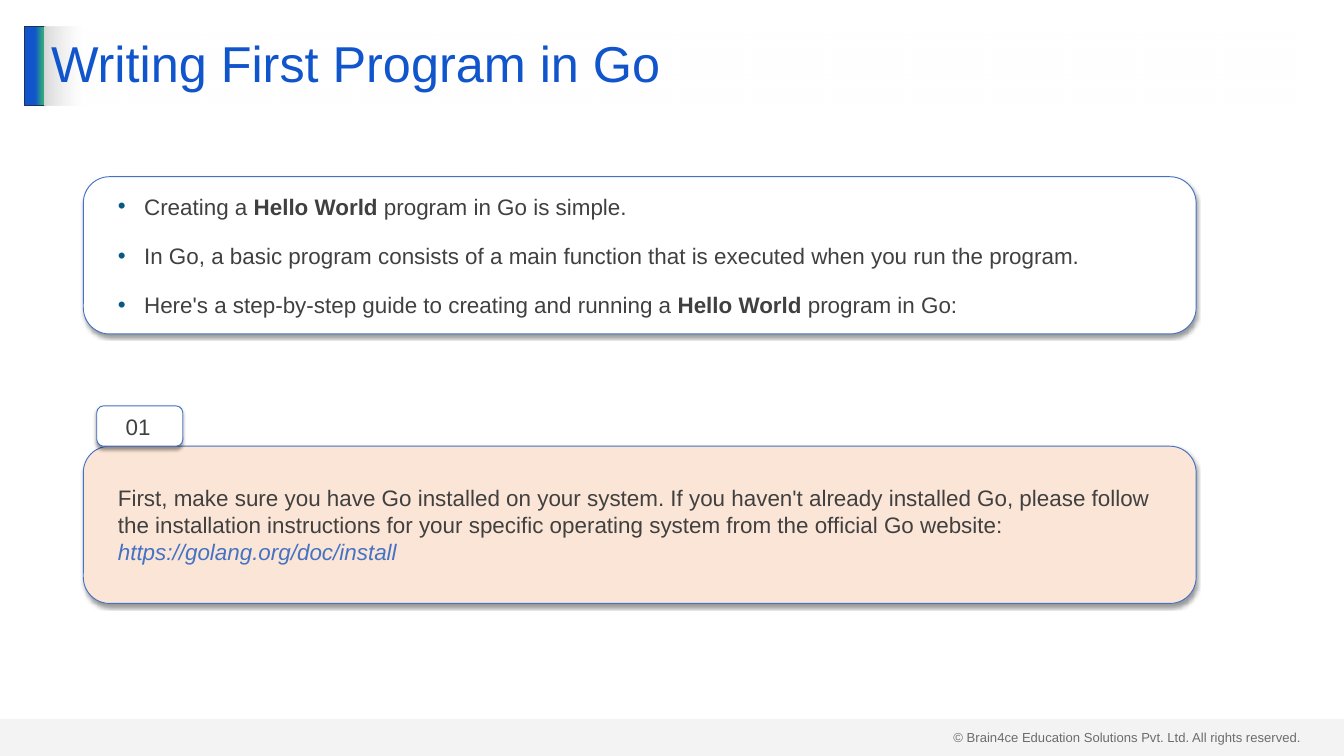
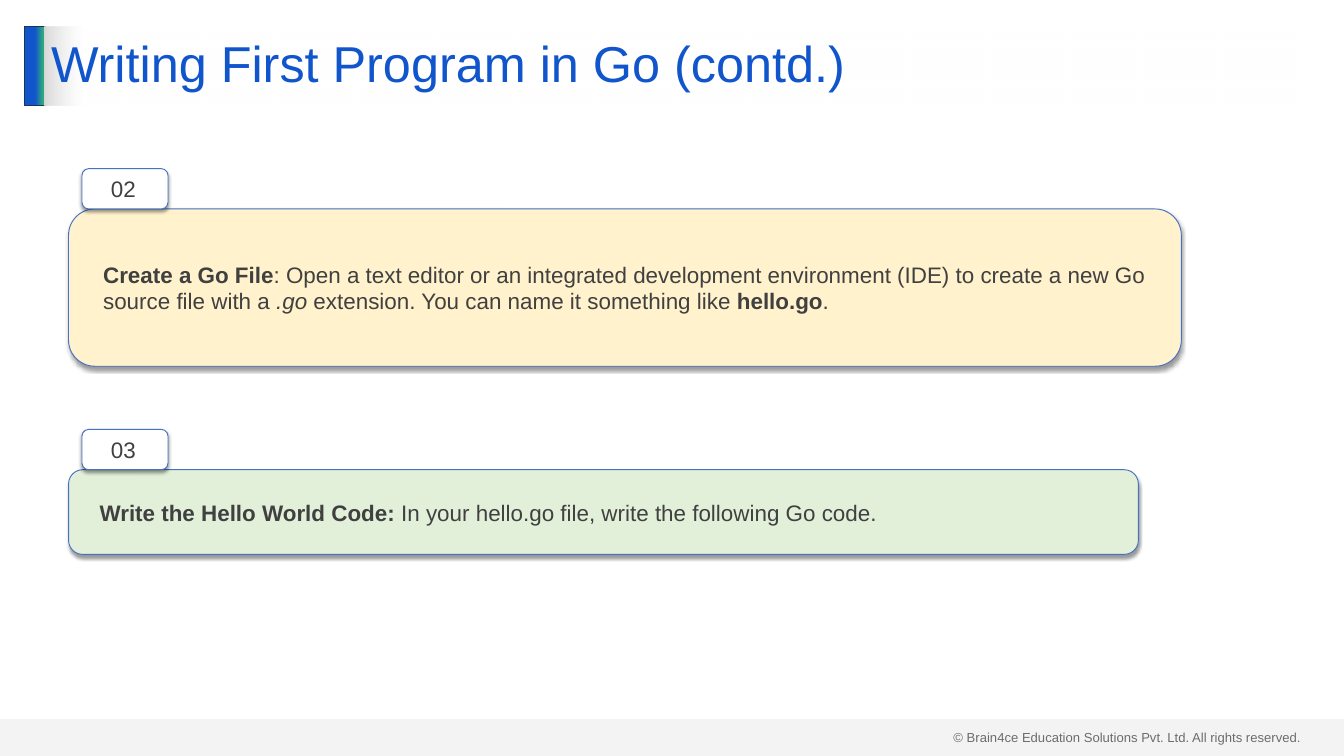
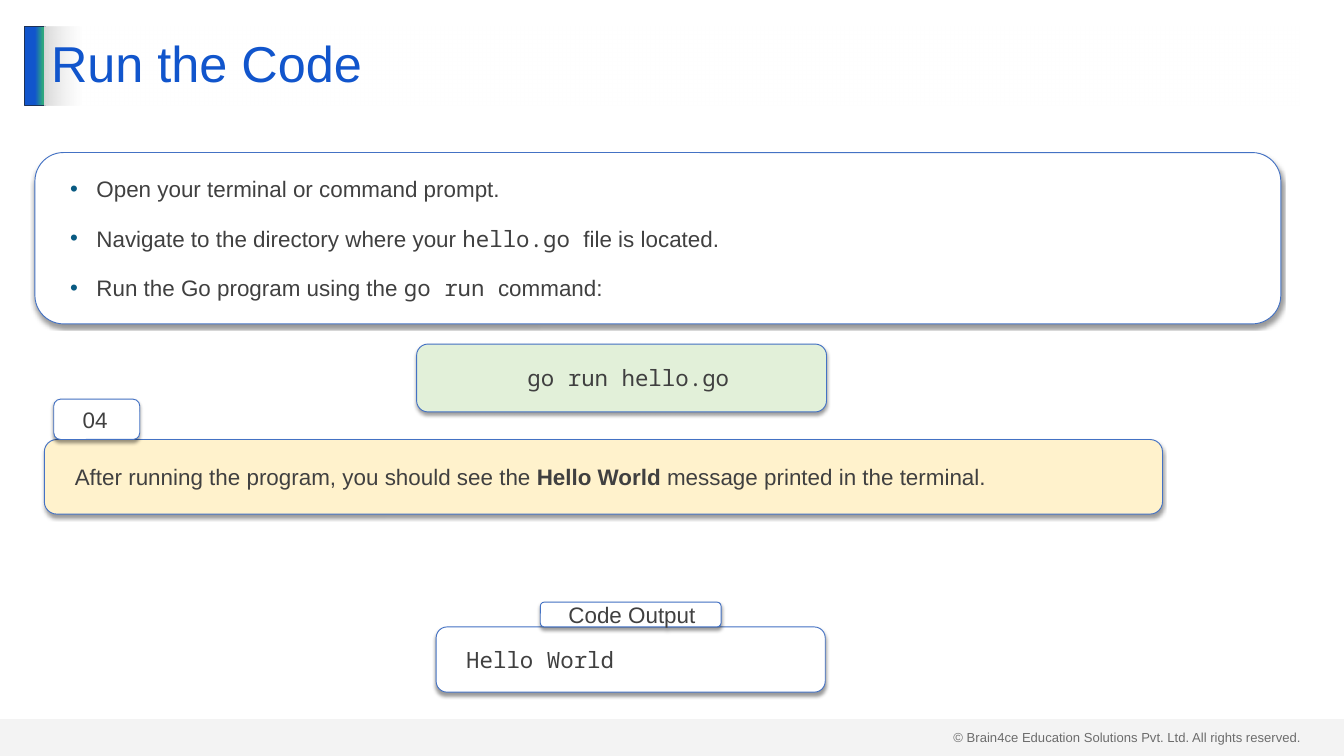
"""Builds three slides on writing and running a first Go program."""
from dataclasses import dataclass

import lxml.etree
import pptx
import pptx.dml.color
import pptx.enum.shapes
import pptx.enum.text
import pptx.oxml.ns
import pptx.util

Inches = pptx.util.Inches
Pt = pptx.util.Pt
qn = pptx.oxml.ns.qn


@dataclass(frozen=True)
class Theme:
    """Colours, fonts and type sizes of the deck."""

    title: str = "1155CC"
    accent: str = "2EA87D"
    bar_line: str = "1E3256"
    grey: str = "D9D9D9"
    white: str = "FFFFFF"
    text: str = "404040"
    outline: str = "4472C4"
    bullet: str = "095A82"
    peach: str = "FBE5D6"
    cream: str = "FFF2CC"
    mint: str = "E2F0D9"
    sans: str = "Arial"
    mono: str = "Noto Sans Mono"
    title_size: int = 54
    body_size: int = 24
    footer_size: int = 14


THEME = Theme()


@dataclass(frozen=True)
class Span:
    """A stretch of text with one look."""

    text: str
    bold: bool = False
    italic: bool = False
    font: str = THEME.sans
    color: str = THEME.text
    size: int = THEME.body_size


def rgb(value):
    """Return the colour object of a hex value."""
    return pptx.dml.color.RGBColor.from_string(value)


def add_element(parent, tag, **attributes):
    """Append a drawing element with its attributes."""
    child = lxml.etree.SubElement(parent, qn(tag))
    for name, value in attributes.items():
        child.set(name, str(value))
    return child


def add_color(parent, color, opacity=100):
    """Append a colour with an opacity in percent."""
    node = add_element(parent, "a:srgbClr", val=color)
    if opacity < 100:
        add_element(node, "a:alpha", val=opacity * 1000)


def set_gradient(shape, stops):
    """Fill a shape from left to right with (percent, colour, opacity) stops."""
    shape.fill.gradient()
    shape.fill.gradient_angle = 0
    stop_list = next(shape._element.spPr.iter(qn("a:gsLst")))
    for stop in list(stop_list):
        stop_list.remove(stop)
    for position, color, opacity in stops:
        add_color(add_element(stop_list, "a:gs", pos=position * 1000), color, opacity)


def add_spans(para, spans):
    """Add the spans to a paragraph run by run."""
    for span in spans:
        run = para.add_run()
        run.text = span.text
        run.font.name = span.font
        run.font.size = Pt(span.size)
        run.font.bold = span.bold
        run.font.italic = span.italic
        run.font.color.rgb = rgb(span.color)


def add_block(page, kind, box, fill, outline=None):
    """Add a flat shape in a box of left, top, width and height."""
    shape = page.shapes.add_shape(kind, *map(Inches, box))
    shape.shadow.inherit = False
    shape.fill.solid()
    shape.fill.fore_color.rgb = rgb(fill)
    if outline:
        shape.line.color.rgb = rgb(outline)
        shape.line.width = Pt(1)
    else:
        shape.line.fill.background()
    return shape


def add_card(page, box, paragraphs, fill=THEME.white, bulleted=False, centered=False):
    """Add a rounded card with a soft shadow and its paragraphs."""
    card = add_block(page, pptx.enum.shapes.MSO_SHAPE.ROUNDED_RECTANGLE, box, fill, THEME.outline)
    effects = card._element.spPr.find(qn("a:effectLst"))
    shadow = add_element(effects, "a:outerShdw", blurRad=Pt(4), dist=Pt(3),
                         dir=90 * 60000, algn="t", rotWithShape=0)
    add_color(shadow, "000000", 40)
    frame = card.text_frame
    frame.word_wrap = True
    frame.vertical_anchor = pptx.enum.text.MSO_ANCHOR.MIDDLE
    frame.margin_left = frame.margin_right = Inches(0.2)
    frame.margin_top = frame.margin_bottom = Inches(0.1)
    align = pptx.enum.text.PP_ALIGN
    for index, spans in enumerate(paragraphs):
        para = frame.add_paragraph() if index else frame.paragraphs[0]
        para.level = 1
        para.alignment = align.CENTER if centered else align.LEFT
        para.space_before = Pt(12 if index else 0)
        para.space_after = Pt(12 if index < len(paragraphs) - 1 else 0)
        properties = para._p.get_or_add_pPr()
        properties.set("marL", str(Inches(0.59 if bulleted else 0.2)))
        properties.set("indent", str(Inches(-0.39 if bulleted else 0)))
        if bulleted:
            add_color(add_element(properties, "a:buClr"), THEME.bullet)
            add_element(properties, "a:buFont", typeface=THEME.sans)
            add_element(properties, "a:buChar", char="•")
        add_spans(para, spans)


def add_tabbed_card(page, box, label, spans, fill=THEME.white, tab_offset=0.2, tab_size=(1.28, 0.6)):
    """Add a card with a label tab standing on its top edge."""
    left, top = box[:2]
    add_card(page, box, [spans], fill)
    add_card(page, (left + tab_offset, top - tab_size[1], *tab_size), [[Span(label)]])


def add_shared_parts(page, layout):
    """Draw the footer and title bar and hand them to the layout."""
    footer = page.shapes.add_textbox(*map(Inches, (14.09, 10.8, 5.41, 0.34)))
    footer.text_frame.word_wrap = False
    footer.text_frame.auto_size = pptx.enum.text.MSO_AUTO_SIZE.SHAPE_TO_FIT_TEXT
    notice = "© Brain4ce Education Solutions Pvt. Ltd. All rights reserved."
    add_spans(footer.text_frame.paragraphs[0], [Span(notice, size=THEME.footer_size)])

    rectangle = pptx.enum.shapes.MSO_SHAPE.RECTANGLE
    bar = add_block(page, rectangle, (0.37, 0.39, 0.3, 1.18), THEME.title, THEME.bar_line)
    set_gradient(bar, [(51, THEME.title, 100), (90, THEME.accent, 100), (100, THEME.accent, 100)])
    band = add_block(page, rectangle, (0, 10.7, 20, 0.55), THEME.grey)
    add_element(next(band._element.spPr.iter(qn("a:srgbClr"))), "a:alpha", val=29000)

    for placeholder in list(layout.placeholders):
        if placeholder.placeholder_format.type != pptx.enum.shapes.PP_PLACEHOLDER.TITLE:
            layout.shapes._spTree.remove(placeholder._element)
    for part in (footer, bar, band):
        layout.shapes._spTree.append(part._element)


def add_page(deck, layout, title):
    """Add a page with its formatted title."""
    page = deck.slides.add_slide(layout)
    box = page.shapes.title
    box.left, box.top, box.width, box.height = map(Inches, (0.66, 0.39, 18.67, 1.18))
    set_gradient(box, [(0, THEME.grey, 100), (3, THEME.white, 50)])
    frame = box.text_frame
    frame.word_wrap = True
    frame.auto_size = pptx.enum.text.MSO_AUTO_SIZE.NONE
    frame.vertical_anchor = pptx.enum.text.MSO_ANCHOR.MIDDLE
    para = frame.paragraphs[0]
    para.alignment = pptx.enum.text.PP_ALIGN.LEFT
    para.line_spacing = 0.9
    add_spans(para, [Span(title, color=THEME.title, size=THEME.title_size)])
    return page


def fill_install_page(page):
    """Introduce the program and the installation step."""
    hello = Span("Hello World", bold=True)
    add_card(page, (1.24, 2.63, 16.56, 2.34), [
        [Span("Creating a "), hello, Span(" program in Go is simple.")],
        [Span("In Go, a basic program consists of a main function that is executed "
              "when you run the program.")],
        [Span("Here's a step-by-step guide to creating and running a "), hello,
         Span(" program in Go:")],
    ], bulleted=True)
    add_tabbed_card(page, (1.24, 6.64, 16.56, 2.34), "01", [
        Span("First, make sure you have Go installed on your system. If you haven't already "
             "installed Go, please follow the installation instructions for your specific "
             "operating system from the official Go website: "),
        Span("https://golang.org/doc/install", italic=True, color=THEME.outline),
    ], THEME.peach)


def fill_write_page(page):
    """Show the steps that create and write the source file."""
    add_tabbed_card(page, (1.02, 3.11, 16.56, 2.34), "02", [
        Span("Create a Go File", bold=True),
        Span(": Open a text editor or an integrated development environment (IDE) to create "
             "a new Go source file with a "),
        Span(".go ", italic=True),
        Span("extension. You can name it something like "),
        Span("hello.go", bold=True),
        Span("."),
    ], THEME.cream)
    add_tabbed_card(page, (1.02, 6.99, 15.92, 1.26), "03", [
        Span("Write the Hello World Code: ", bold=True),
        Span("In your hello.go file, write the following Go code."),
    ], THEME.mint)


def fill_run_page(page):
    """Show how to run the program and what it prints."""
    add_card(page, (0.52, 2.27, 18.54, 2.55), [
        [Span("Open your terminal or command prompt.")],
        [Span("Navigate to the directory where your "), Span("hello.go ", font=THEME.mono),
         Span("file is located.")],
        [Span("Run the Go program using the "), Span("go run ", font=THEME.mono),
         Span("command:")],
    ], bulleted=True)
    add_tabbed_card(page, (6.49, 9.33, 5.79, 0.97), "Code Output",
                    [Span("Hello World", font=THEME.mono)],
                    tab_offset=1.55, tab_size=(2.69, 0.37))
    add_card(page, (6.2, 5.12, 6.1, 1.01), [[Span("go run hello.go", font=THEME.mono)]],
             THEME.mint, centered=True)
    add_tabbed_card(page, (0.66, 6.54, 16.64, 1.11), "04", [
        Span("After running the program, you should see the "),
        Span("Hello World", bold=True),
        Span(" message printed in the terminal."),
    ], THEME.cream, tab_offset=0.14)


def main():
    """Build the deck and save it."""
    deck = pptx.Presentation()
    deck.slide_width, deck.slide_height = Inches(20), Inches(11.25)
    layout = deck.slide_layouts.get_by_name("Title Only")
    contents = (
        ("Writing First Program in Go", fill_install_page),
        ("Writing First Program in Go (contd.)", fill_write_page),
        ("Run the Code", fill_run_page),
    )
    for index, (title, fill_page) in enumerate(contents):
        page = add_page(deck, layout, title)
        if index == 0:
            add_shared_parts(page, layout)
        fill_page(page)
    deck.save("out.pptx")


if __name__ == "__main__":
    main()
